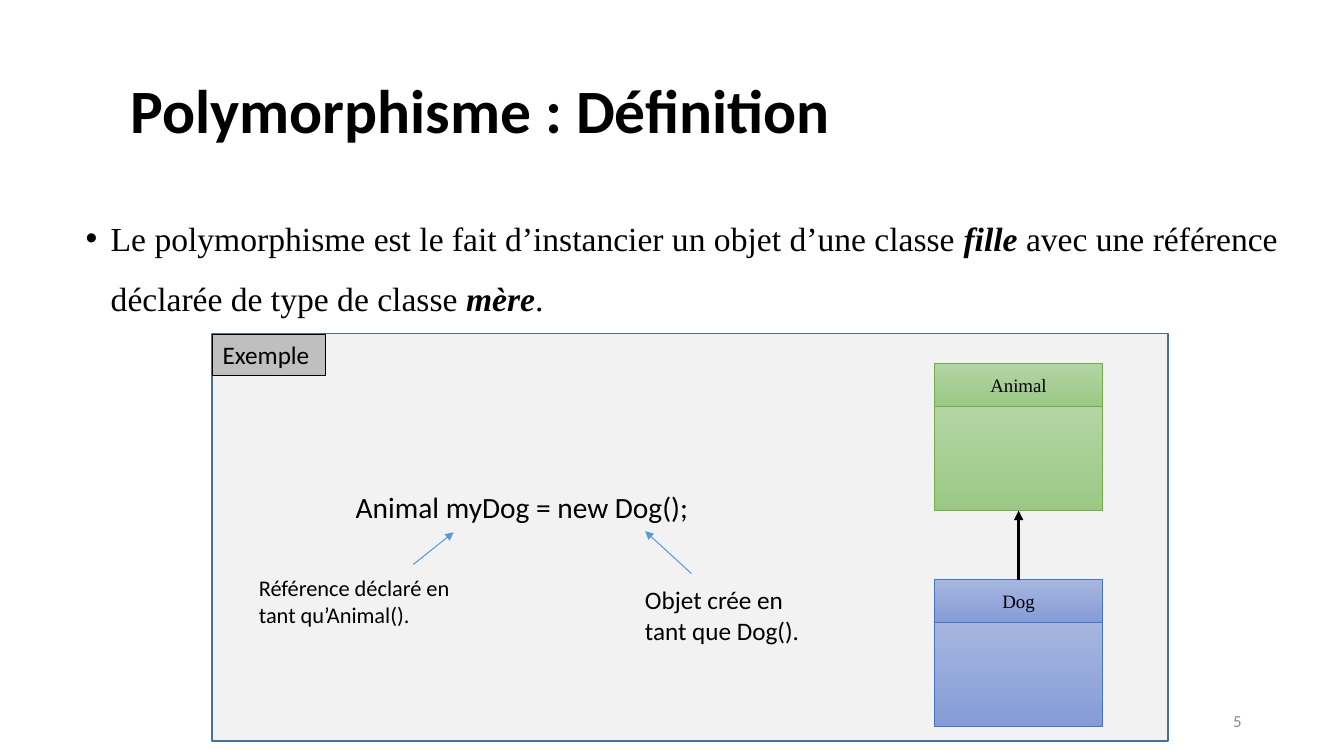
from lxml.etree import SubElement
from pptx import Presentation
from pptx.dml.color import RGBColor
from pptx.enum.shapes import MSO_CONNECTOR, MSO_SHAPE
from pptx.enum.text import MSO_ANCHOR, MSO_AUTO_SIZE, PP_ALIGN
from pptx.oxml.ns import qn
from pptx.util import Pt


def color(value):
    """Turn a hex string into a colour."""
    return RGBColor.from_string(value)


def apply(target, values):
    """Set each named attribute of the target."""
    for name, value in values.items():
        setattr(target, name, value)


class SlideBuilder:
    """Hold the style and the current slide, and add elements to it."""

    sans = "Calibri"
    serif = "Times New Roman"
    ink = "000000"
    frame = {
        "word_wrap": True,
        "auto_size": MSO_AUTO_SIZE.NONE,
        "margin_left": Pt(7.2),
        "margin_right": Pt(7.2),
        "margin_top": Pt(3.6),
        "margin_bottom": Pt(3.6),
    }

    def __init__(self, page):
        """Keep the page."""
        self.page = page

    def add_text(self, box, paragraphs, size, font=sans, ink=ink,
                 anchor=MSO_ANCHOR.TOP, **layout):
        """Fill a box with paragraphs, each a list of (text, emphasis) spans."""
        text = box.text_frame
        apply(text, {**self.frame, "vertical_anchor": anchor})
        for index, spans in enumerate(paragraphs):
            para = text.paragraphs[0] if index == 0 else text.add_paragraph()
            apply(para, {"alignment": PP_ALIGN.LEFT, **layout})
            for words, emphasis in spans:
                span = para.add_run()
                span.text = words
                apply(span.font, {"name": font, "size": Pt(size), "bold": False,
                                  "italic": False, **emphasis})
                span.font.color.rgb = color(ink)
        return box

    def title(self, words, area, indent):
        """Place and format the title placeholder."""
        box = self.page.shapes.title
        apply(box, dict(zip(("left", "top", "width", "height"), map(Pt, area))))
        self.add_text(box, [[(words, {"bold": True})]], 44,
                      anchor=MSO_ANCHOR.MIDDLE, line_spacing=0.9)
        box.text_frame.margin_left = Pt(7.2 + indent)

    def label(self, lines, area, size, **style):
        """Add a text box of plain lines."""
        box = self.page.shapes.add_textbox(*map(Pt, area))
        return self.add_text(box, [[(line, {})] for line in lines], size, **style)

    def bullet(self, spans, area, size):
        """Add a bulleted paragraph with mixed emphasis."""
        box = self.page.shapes.add_textbox(*map(Pt, area))
        self.add_text(box, [spans], size, self.serif, line_spacing=1.5)
        properties = box.text_frame.paragraphs[0]._p.get_or_add_pPr()
        properties.set("marL", str(Pt(18)))
        properties.set("indent", str(-Pt(18)))
        SubElement(properties, qn("a:buFont"), typeface="Arial")
        SubElement(properties, qn("a:buChar"), char="•")

    def rectangle(self, area, fill, line, width=0.75, parent=None):
        """Add a rectangle with one fill colour or a vertical gradient of two."""
        box = (parent or self.page).shapes.add_shape(MSO_SHAPE.RECTANGLE, *map(Pt, area))
        box.shadow.inherit = False
        if isinstance(fill, str):
            box.fill.solid()
            box.fill.fore_color.rgb = color(fill)
        else:
            box.fill.gradient()
            box.fill.gradient_angle = 270
            for stop, shade, position in zip(box.fill.gradient_stops, fill, (0, 1)):
                stop.color.rgb = color(shade)
                stop.position = position
        box.line.color.rgb = color(line)
        box.line.width = Pt(width)
        return box

    def class_box(self, name, left, top, fill, line):
        """Add a grouped class diagram box with a name row and a body."""
        group = self.page.shapes.add_group_shape()
        width, header, body = 120.3, 30.7, 74.4
        head = self.rectangle((left, top, width, header), fill, line, parent=group)
        self.add_text(head, [[(name, {})]], 13.5, self.serif,
                      anchor=MSO_ANCHOR.MIDDLE, alignment=PP_ALIGN.CENTER)
        self.rectangle((left, top + header, width, body), fill, line, parent=group)

    def arrow(self, start, end, line, width=0.75):
        """Add a straight arrow."""
        connector = self.page.shapes.add_connector(
            MSO_CONNECTOR.STRAIGHT, *map(Pt, (*start, *end)))
        connector.line.color.rgb = color(line)
        connector.line.width = Pt(width)
        SubElement(connector.line._get_or_add_ln(), qn("a:tailEnd"), type="triangle")
        SubElement(connector._element.spPr, qn("a:effectLst"))


def main():
    """Build the slide and save the deck."""
    deck = Presentation()
    apply(deck, {"slide_width": Pt(960), "slide_height": Pt(540)})
    slide = SlideBuilder(deck.slides.add_slide(deck.slide_layouts[5]))
    strong = {"bold": True, "italic": True}

    slide.rectangle((151.3, 238.4, 683, 290.8), "F2F2F2", "42719B", 1)
    slide.title("Polymorphisme : Définition", (66, 28.8, 828, 104.4), 20)
    slide.bullet([
        ("Le polymorphisme est le fait d’instancier un objet d’une classe ", {}),
        ("fille", strong),
        (" avec une référence déclarée de type de classe ", {}),
        ("mère", strong),
        (".", {}),
    ], (54, 137.5, 867.6, 140.4), 24)
    slide.label(["5"], (678, 500.5, 216, 28.8), 12, ink="888888",
                anchor=MSO_ANCHOR.MIDDLE, alignment=PP_ALIGN.RIGHT)

    class_left, class_center = 667.4, 727.6
    slide.class_box("Animal", class_left, 259.7, ("B4D4A5", "9BC985"), "70AD47")
    slide.class_box("Dog", class_left, 414, ("A6B6DE", "859CD7"), "4472C4")
    slide.arrow((class_center, 414), (class_center, 364.8), slide.ink, 2.25)

    slide.label(["Animal myDog = new Dog();"], (247, 345.6, 314, 32.4), 21)
    slide.arrow((295.2, 403.2), (324, 380.2), "5B9BD5")
    slide.label(["Référence déclaré en", "tant qu’Animal()."],
                (177.8, 406.8, 190, 46), 16)
    slide.arrow((493.9, 409.7), (460.8, 379.4), "5B9BD5")
    slide.label(["Objet crée en", "tant que Dog()."], (453.6, 414, 166.3, 51), 18)

    tag = slide.rectangle((151.9, 239, 80.6, 29), "BFBFBF", slide.ink)
    slide.add_text(tag, [[("Exemple", {})]], 18)
    deck.save("out.pptx")


if __name__ == "__main__":
    main()
